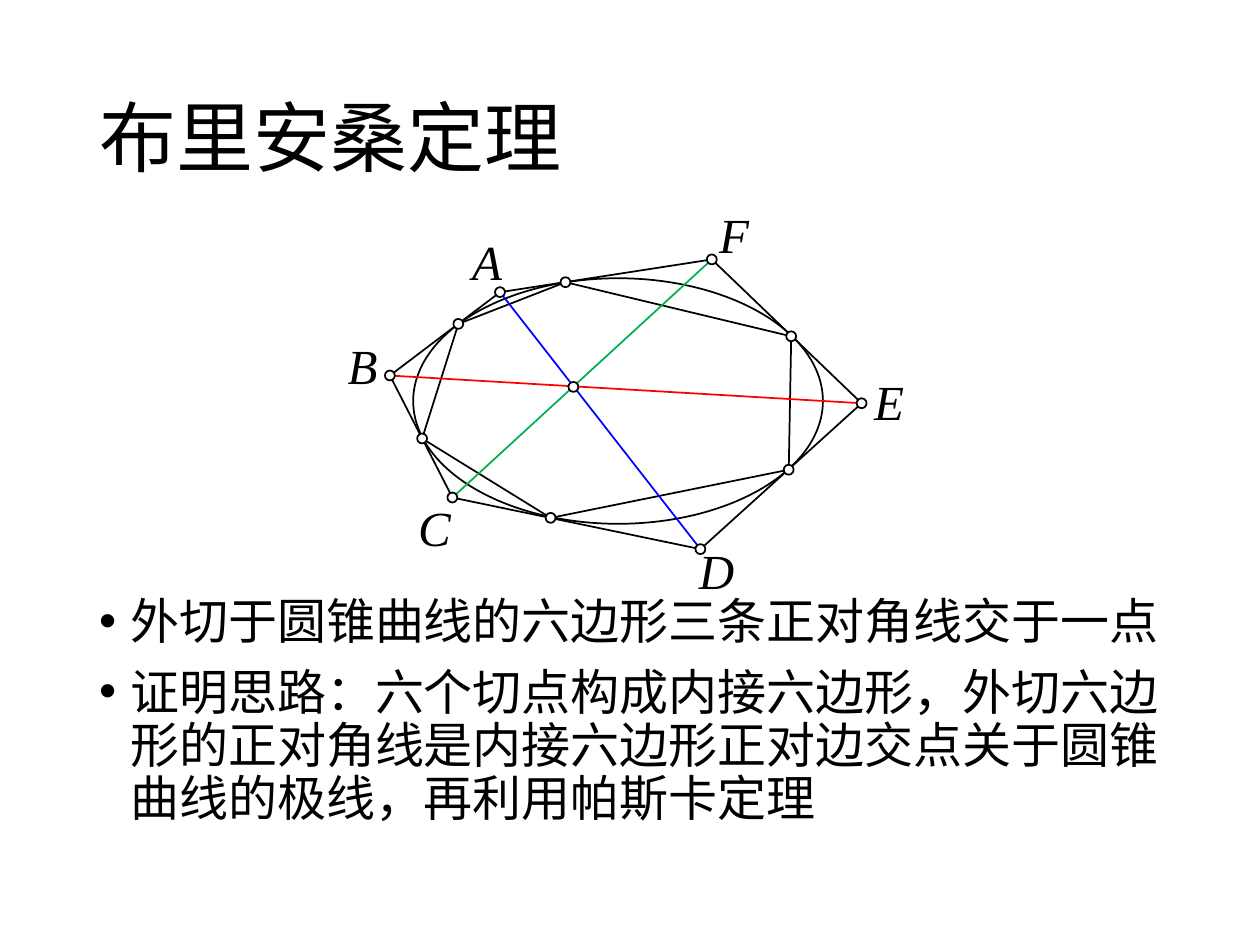
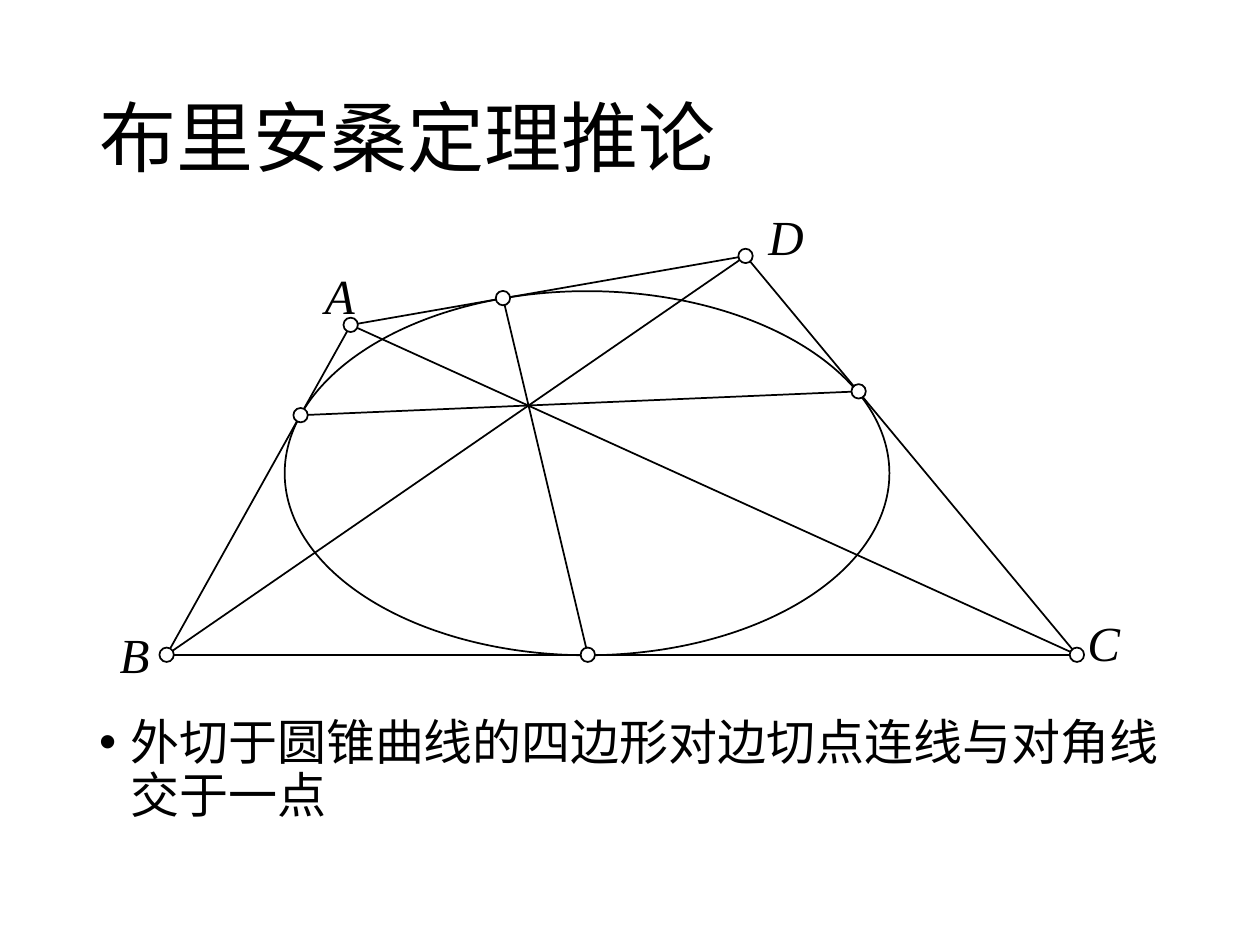
import dataclasses
import typing

import pptx
import pptx.dml.color
import pptx.enum.shapes
import pptx.enum.text
import pptx.oxml.ns
import pptx.util
from lxml import etree

Cm = pptx.util.Cm
Pt = pptx.util.Pt


@dataclasses.dataclass(frozen=True)
class Theme:
    """Colours, fonts and sizes shared by the slides."""
    ink: str = "000000"
    paper: str = "FFFFFF"
    blue: str = "0000FF"
    red: str = "FF0000"
    green: str = "00B050"
    text_font: str = "Noto Sans CJK SC"
    label_font: str = "Times New Roman"
    title_size: float = 44
    text_size: float = 28
    text_pitch: float = 30.3
    text_gap: float = 10
    stroke: float = 1
    indent: float = 0.63


class Box(typing.NamedTuple):
    """A rectangle in centimetres."""
    left: float
    top: float
    width: float
    height: float

    def inside(self, outer):
        """Return this box moved from the outer box's frame to the slide's."""
        return Box(outer.left + self.left, outer.top + self.top, self.width, self.height)

    def lengths(self):
        """Return the four measures as slide lengths."""
        return [Cm(value) for value in self]


@dataclasses.dataclass(frozen=True)
class Figure:
    """A conic with named points, closed polygons, chords and labels."""
    conic: Box
    points: dict
    polygons: list
    chords: list
    labels: dict
    dot: float


THEME = Theme()
TITLE_BOX = Box(1.75, 1.02, 21.9, 3.68)
LABEL_HEIGHT = 1.45
LABEL_WIDTHS = {"C": 1.17, "D": 1.24}
LABEL_WIDTH = 1.12

HEXAGON = Figure(
    conic=Box(0.83, 0.61, 8.26, 4.95),
    points={
        "A": (2.58, 0.89), "B": (0.36, 2.57), "C": (1.62, 5.03),
        "D": (6.62, 6.07), "E": (9.87, 3.13), "F": (6.85, 0.23),
        "FA": (3.9, 0.69), "AB": (1.74, 1.53), "BC": (1.01, 3.84),
        "CD": (3.6, 5.44), "DE": (8.4, 4.47), "EF": (8.45, 1.78),
        "centre": (4.06, 2.8),
    },
    polygons=[list("ABCDEF"), ["FA", "AB", "BC", "CD", "DE", "EF"]],
    chords=[("A", "D", THEME.blue), ("B", "E", THEME.red), ("F", "C", THEME.green)],
    labels={
        "A": (1.77, -0.45), "B": (-0.74, 1.63), "C": (0.68, 4.91),
        "D": (6.34, 5.77), "E": (9.87, 2.37), "F": (6.75, -1.01),
    },
    dot=0.2,
)

QUADRILATERAL = Figure(
    conic=Box(2.74, 0.87, 12.19, 7.34),
    points={
        "A": (4.07, 1.55), "B": (0.36, 8.2), "C": (18.71, 8.2), "D": (12.03, 0.16),
        "DA": (7.14, 1.01), "AB": (3.06, 3.37), "BC": (8.85, 8.2), "CD": (14.31, 2.89),
    },
    polygons=[list("ABCD")],
    chords=[("AB", "CD", THEME.ink), ("DA", "BC", THEME.ink),
            ("A", "C", THEME.ink), ("D", "B", THEME.ink)],
    labels={"A": (3.3, 0.23), "B": (-0.84, 7.47), "C": (18.67, 7.22), "D": (12.24, -0.96)},
    dot=0.29,
)


def colour(code):
    """Turn a hex code into a colour."""
    return pptx.dml.color.RGBColor.from_string(code)


def add_span(para, text, size, font, italic=False):
    """Append one formatted run to a paragraph."""
    span = para.add_run()
    span.text = text
    span.font.size = Pt(size)
    span.font.name = font
    span.font.italic = italic
    span.font.color.rgb = colour(THEME.ink)
    east = etree.SubElement(span.font._element, pptx.oxml.ns.qn("a:ea"))
    east.set("typeface", font)


def add_title(page, text, box):
    """Move the title placeholder to the box and fill it."""
    title = page.shapes.title
    title.left, title.top, title.width, title.height = box.lengths()
    frame = title.text_frame
    frame.auto_size = pptx.enum.text.MSO_AUTO_SIZE.NONE
    frame.vertical_anchor = pptx.enum.text.MSO_ANCHOR.MIDDLE
    para = frame.paragraphs[0]
    para.alignment = pptx.enum.text.PP_ALIGN.LEFT
    para.line_spacing = 0.9
    add_span(para, text, THEME.title_size, THEME.text_font)


def add_bullets(page, items, box):
    """Write the statements as a bulleted list in the box."""
    frame = page.shapes.add_textbox(*box.lengths()).text_frame
    frame.word_wrap = True
    frame.margin_top = Cm(0.22)
    for index, item in enumerate(items):
        para = frame.add_paragraph() if index else frame.paragraphs[0]
        para.line_spacing = Pt(THEME.text_pitch)
        para.space_before = Pt(THEME.text_gap if index else 0)
        properties = para._p.get_or_add_pPr()
        properties.set("marL", str(Cm(THEME.indent)))
        properties.set("indent", str(-Cm(THEME.indent)))
        for tag, key, value in (("a:buFont", "typeface", "Arial"), ("a:buChar", "char", "•")):
            etree.SubElement(properties, pptx.oxml.ns.qn(tag)).set(key, value)
        add_span(para, item, THEME.text_size, THEME.text_font)


def add_segment(group, start, end, code):
    """Draw a straight line between two points."""
    line = group.shapes.add_connector(
        pptx.enum.shapes.MSO_CONNECTOR.STRAIGHT, *[Cm(value) for value in (*start, *end)])
    line.line.color.rgb = colour(code)
    line.line.width = Pt(THEME.stroke)
    etree.SubElement(line._element.spPr, pptx.oxml.ns.qn("a:effectLst"))


def add_ellipse(group, box, fill=None):
    """Draw an outlined ellipse, filled only if a colour is given."""
    oval = group.shapes.add_shape(pptx.enum.shapes.MSO_SHAPE.OVAL, *box.lengths())
    oval.shadow.inherit = False
    oval.line.color.rgb = colour(THEME.ink)
    oval.line.width = Pt(THEME.stroke)
    if fill:
        oval.fill.solid()
        oval.fill.fore_color.rgb = colour(fill)
    else:
        oval.fill.background()


def add_label(page, name, box):
    """Write the italic name of a vertex."""
    frame = page.shapes.add_textbox(*box.lengths()).text_frame
    frame.word_wrap = False
    frame.auto_size = pptx.enum.text.MSO_AUTO_SIZE.SHAPE_TO_FIT_TEXT
    add_span(frame.paragraphs[0], name, THEME.text_size, THEME.label_font, italic=True)


def add_figure(page, figure, box):
    """Draw the conic, its lines, dots and labels relative to the box."""
    group = page.shapes.add_group_shape()
    points = {name: (box.left + x, box.top + y) for name, (x, y) in figure.points.items()}
    add_ellipse(group, figure.conic.inside(box))
    sides = [(start, end, THEME.ink) for corners in figure.polygons
             for start, end in zip(corners, corners[1:] + corners[:1])]
    for start, end, code in sides + figure.chords:
        add_segment(group, points[start], points[end], code)
    for x, y in points.values():
        dot = Box(x - figure.dot / 2, y - figure.dot / 2, figure.dot, figure.dot)
        add_ellipse(group, dot, THEME.paper)
    for name, (x, y) in figure.labels.items():
        label = Box(x, y, LABEL_WIDTHS.get(name, LABEL_WIDTH), LABEL_HEIGHT)
        add_label(page, name, label.inside(box))


def add_theorem_page(deck, title, items, text_box, figure, figure_box):
    """Add a slide with a title, a list and a geometric figure."""
    page = deck.slides.add_slide(deck.slide_layouts.get_by_name("Title Only"))
    add_title(page, title, TITLE_BOX)
    add_bullets(page, items, text_box)
    add_figure(page, figure, figure_box)


def main():
    """Build and save the deck."""
    deck = pptx.Presentation()
    deck.slide_width, deck.slide_height = Cm(25.4), Cm(19.05)
    add_theorem_page(
        deck, "布里安桑定理",
        ["外切于圆锥曲线的六边形三条正对角线交于一点",
         "证明思路：六个切点构成内接六边形，外切六边形的正对角线是内接六边形正对边交点"
         "关于圆锥曲线的极线，再利用帕斯卡定理"],
        Box(1.75, 11.81, 21.9, 5.33), HEXAGON, Box(7.5, 5, 10, 6.2))
    add_theorem_page(
        deck, "布里安桑定理推论",
        ["外切于圆锥曲线的四边形对边切点连线与对角线交于一点"],
        Box(1.75, 14.25, 21.9, 2.9), QUADRILATERAL, Box(3, 5, 19, 8.4))
    deck.save("out.pptx")


if __name__ == "__main__":
    main()
